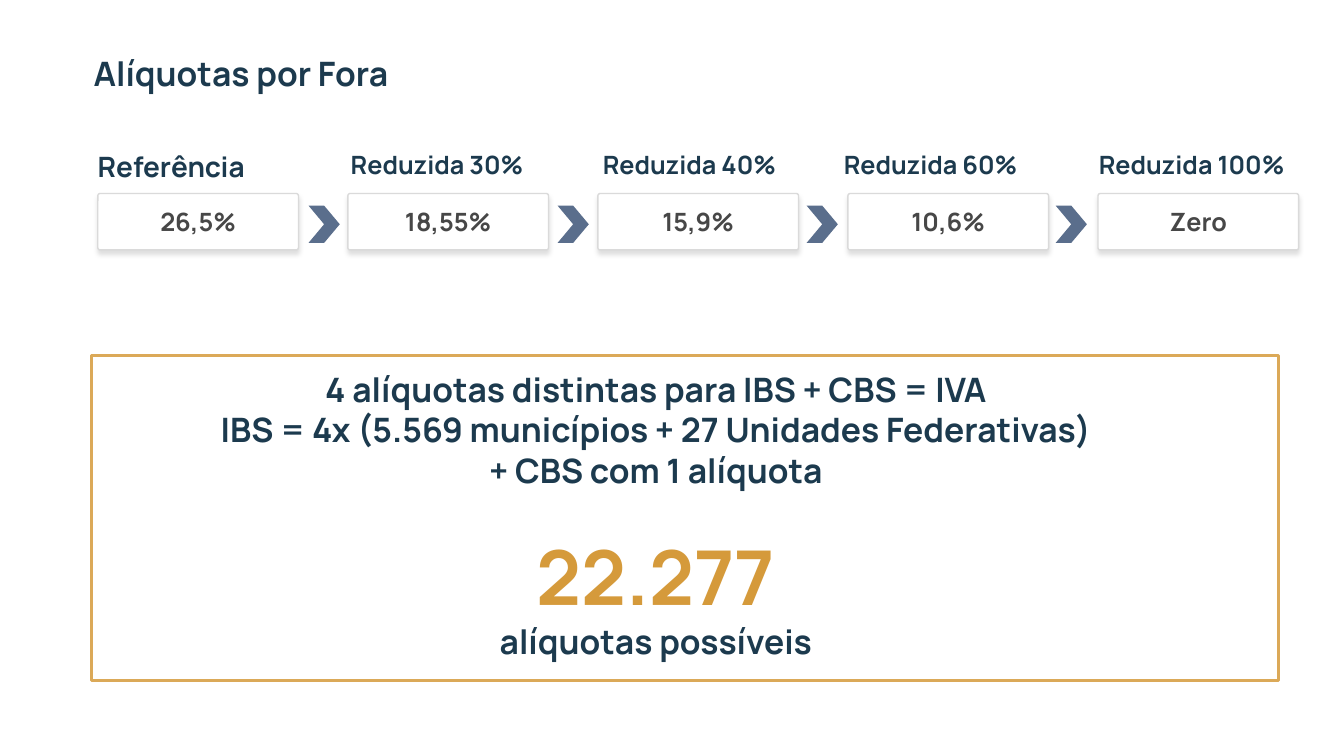
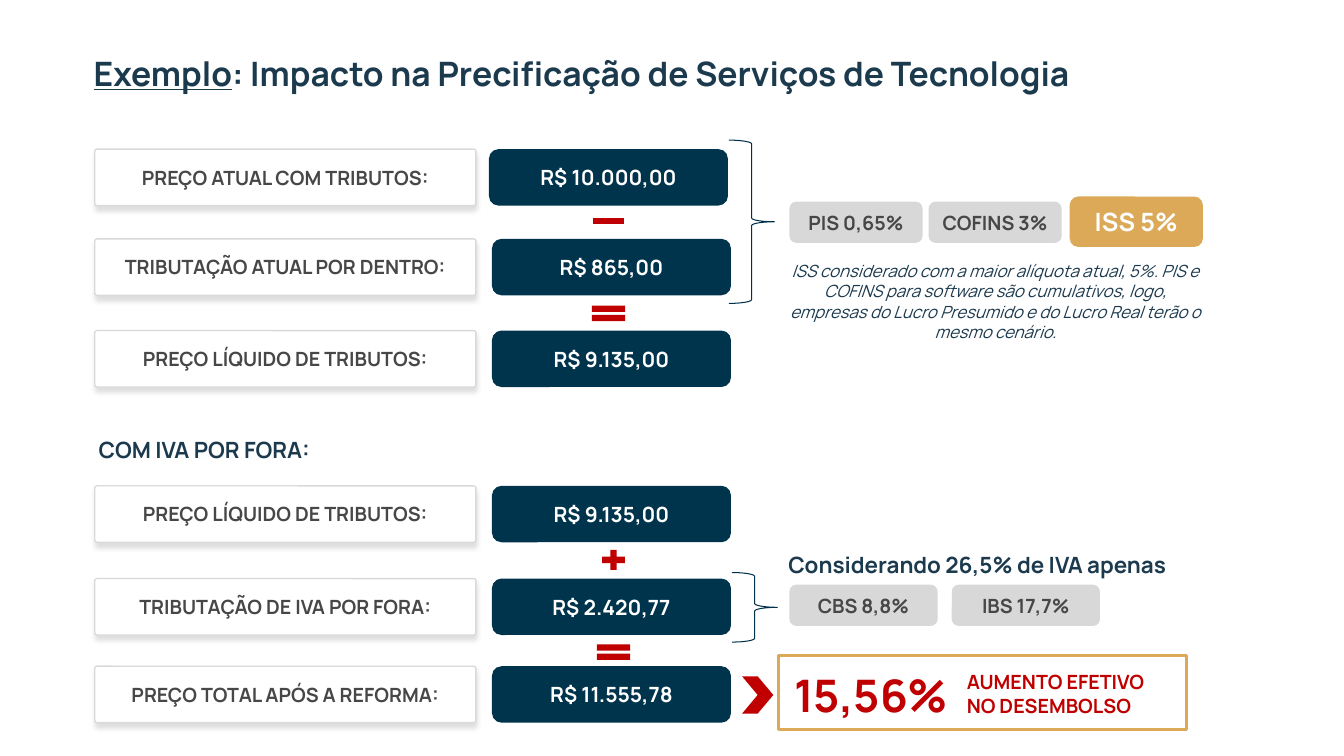
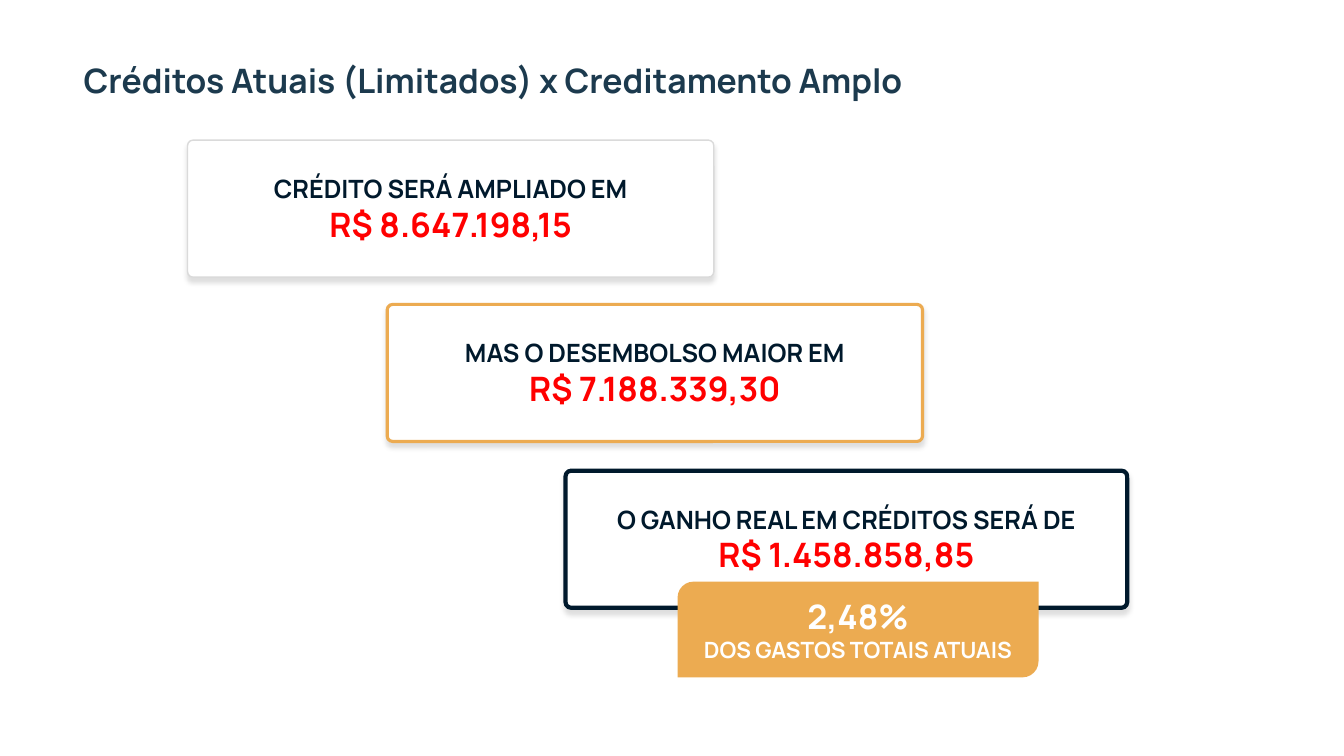
"""Build three slides on tax rates, service pricing and tax credits."""
from dataclasses import dataclass
from typing import NamedTuple

from lxml import etree
from pptx import Presentation
from pptx.dml.color import RGBColor
from pptx.enum.shapes import MSO_SHAPE
from pptx.enum.text import MSO_ANCHOR, MSO_AUTO_SIZE, PP_ALIGN
from pptx.oxml.ns import qn
from pptx.util import Inches, Pt

RECT = MSO_SHAPE.RECTANGLE
ROUNDED = MSO_SHAPE.ROUNDED_RECTANGLE
DIAGONAL = MSO_SHAPE.ROUND_2_DIAG_RECTANGLE
CHEVRON = MSO_SHAPE.CHEVRON
BRACE = MSO_SHAPE.RIGHT_BRACE
MINUS = MSO_SHAPE.MATH_MINUS
PLUS = MSO_SHAPE.MATH_PLUS
EQUAL = MSO_SHAPE.MATH_EQUAL
MIDDLE, TOP = MSO_ANCHOR.MIDDLE, MSO_ANCHOR.TOP
CENTER, LEFT = PP_ALIGN.CENTER, PP_ALIGN.LEFT
GROW = MSO_AUTO_SIZE.SHAPE_TO_FIT_TEXT

FONT = "Manrope"
INK = "1C3A4E"
NAVY = "00334C"
BRACE_NAVY = "00314B"
MIDNIGHT = "00192C"
GRAPHITE = "474747"
SILVER = "D8D8D8"
HAIRLINE = "DADADA"
STEEL = "5A6E8C"
WHITE = "FFFFFF"
GOLD = "DBA958"
DEEP_GOLD = "D59A3B"
AMBER = "ECAB51"
CRIMSON = "C00000"
RED = "FF0000"


class Box(NamedTuple):
    left: float
    top: float
    width: float
    height: float


@dataclass(frozen=True)
class Run:
    text: str
    size: float
    color: str = INK
    bold: bool = True
    italic: bool = False
    underline: bool = False
    break_after: bool = False


@dataclass(frozen=True)
class Paragraph:
    runs: tuple[Run, ...]
    space_before: float = 0


@dataclass(frozen=True)
class Style:
    fill: str | None = None
    line: str | None = None
    line_width: float = 1
    shadow: int = 0
    inset_x: float = 0.1
    inset_y: float = 0.05


@dataclass(frozen=True)
class PriceRow:
    top: float
    label: str
    value: str
    value_left: float = 4.88


@dataclass(frozen=True)
class Step:
    box: Box
    caption: str
    amount: str
    border: str
    border_width: float


def card_style(border: str = HAIRLINE, width: float = 1, shadow: int = 12) -> Style:
    return Style(WHITE, border, width, shadow, 0.13, 0.07)


CARD = card_style()
CARD_RADIUS = 0.04
GOLD_FRAME = Style(line=GOLD, line_width=2)


def rgb(color: str) -> RGBColor:
    return RGBColor.from_string(color)


def one_line(*runs: Run) -> list[Paragraph]:
    return [Paragraph(runs)]


def write(frame, paragraphs: list[Paragraph], align) -> None:
    frame.word_wrap = True
    for index, content in enumerate(paragraphs):
        paragraph = frame.paragraphs[0] if index == 0 else frame.add_paragraph()
        paragraph.alignment = align
        if content.space_before:
            paragraph.space_before = Pt(content.space_before)
        for part in content.runs:
            run = paragraph.add_run()
            run.text = part.text
            font = run.font
            font.name, font.size = FONT, Pt(part.size)
            font.bold, font.italic = part.bold, part.italic
            font.underline = part.underline
            font.color.rgb = rgb(part.color)
            if part.break_after:
                paragraph.add_line_break()


def set_insets(frame, x: float, y: float) -> None:
    frame.margin_left = frame.margin_right = Inches(x)
    frame.margin_top = frame.margin_bottom = Inches(y)


def add_shadow(shape, opacity: int) -> None:
    effects = shape.element.spPr.find(qn("a:effectLst"))
    shadow = etree.SubElement(
        effects, qn("a:outerShdw"), blurRad=str(Pt(3.6)), dist=str(Pt(3)),
        dir="5400000", algn="t", rotWithShape="0")
    black = etree.SubElement(shadow, qn("a:srgbClr"), val="000000")
    etree.SubElement(black, qn("a:alpha"), val=str(opacity * 1000))


def add_figure(slide, kind, box: Box, style: Style, paragraphs: list[Paragraph] | None = None,
               adjustments: tuple[float, ...] = ()) -> None:
    shape = slide.shapes.add_shape(kind, *map(Inches, box))
    for index, value in enumerate(adjustments):
        shape.adjustments[index] = value
    if style.fill:
        shape.fill.solid()
        shape.fill.fore_color.rgb = rgb(style.fill)
    else:
        shape.fill.background()
    if style.line:
        shape.line.color.rgb = rgb(style.line)
        shape.line.width = Pt(style.line_width)
    else:
        shape.line.fill.background()
    shape.shadow.inherit = False
    if style.shadow:
        add_shadow(shape, style.shadow)
    if paragraphs:
        frame = shape.text_frame
        set_insets(frame, style.inset_x, style.inset_y)
        frame.vertical_anchor = MIDDLE
        write(frame, paragraphs, CENTER)


def add_text(slide, box: Box, paragraphs: list[Paragraph], align=LEFT) -> None:
    frame = slide.shapes.add_textbox(*map(Inches, box)).text_frame
    set_insets(frame, 0.1, 0.05)
    frame.vertical_anchor = TOP
    frame.auto_size = GROW
    write(frame, paragraphs, align)


def add_card(slide, box: Box, paragraphs: list[Paragraph], style: Style = CARD) -> None:
    add_figure(slide, ROUNDED, box, style, paragraphs, (CARD_RADIUS,))


def add_pill(slide, box: Box, fill: str, label: Run) -> None:
    add_figure(slide, ROUNDED, box, Style(fill), one_line(label))


def add_chevron(slide, left: float, top: float, color: str) -> None:
    add_figure(slide, CHEVRON, Box(left, top, 0.31, 0.37), Style(color))


def add_titled_slide(deck, *title: Run, left: float = 0.83, top: float = 0.48):
    slide = deck.slides.add_slide(deck.slide_layouts[6])
    add_text(slide, Box(left, top, 11.52, 0.5), one_line(*title))
    return slide


def build_rates(deck) -> None:
    slide = add_titled_slide(deck, Run("Alíquotas por Fora", 24))
    rates = [
        (0.87, "Referência", 20, "26,5%"),
        (3.38, "Reduzida 30%", 18, "18,55%"),
        (5.88, "Reduzida 40%", 18, "15,9%"),
        (8.27, "Reduzida 60%", 18, "10,6%"),
        (10.8, "Reduzida 100%", 18, "Zero"),
    ]
    for index, (label_left, label, size, rate) in enumerate(rates):
        add_text(slide, Box(label_left, 1.43, 2.35, 0.4), one_line(Run(label, size)))
        add_card(slide, Box(0.97 + 2.48 * index, 1.92, 1.99, 0.56),
                 one_line(Run(rate, 18, GRAPHITE)))
        if index:
            add_chevron(slide, 0.59 + 2.47 * index, 2.04, STEEL)

    explanation = [
        "4 alíquotas distintas para IBS + CBS = IVA",
        "IBS = 4x (5.569 municípios + 27 Unidades Federativas)",
        "+ CBS com 1 alíquota",
    ]
    total = Paragraph((Run("22.277", 54, DEEP_GOLD, break_after=True),
                       Run("alíquotas possíveis", 24)), space_before=29)
    add_text(slide, Box(1.57, 3.61, 9.87, 3.03),
             [Paragraph((Run(text, 24),)) for text in explanation] + [total], CENTER)
    add_figure(slide, RECT, Box(0.91, 3.53, 11.77, 3.22), GOLD_FRAME)


def build_pricing(deck) -> None:
    slide = add_titled_slide(
        deck, Run("Exemplo", 24, underline=True),
        Run(": Impacto na Precificação de Serviços de Tecnologia", 24))
    rows = [
        PriceRow(1.48, "PREÇO ATUAL COM TRIBUTOS:", "R$ 10.000,00", 4.85),
        PriceRow(2.37, "TRIBUTAÇÃO ATUAL POR DENTRO:", "R$ 865,00"),
        PriceRow(3.28, "PREÇO LÍQUIDO DE TRIBUTOS:", "R$ 9.135,00"),
        PriceRow(4.82, "PREÇO LÍQUIDO DE TRIBUTOS:", "R$ 9.135,00"),
        PriceRow(5.74, "TRIBUTAÇÃO DE IVA POR FORA:", "R$ 2.420,77"),
        PriceRow(6.61, "PREÇO TOTAL APÓS A REFORMA:", "R$ 11.555,78"),
    ]
    for row in rows:
        add_card(slide, Box(0.94, row.top, 3.78, 0.56), one_line(Run(row.label, 14, GRAPHITE)))
        add_pill(slide, Box(row.value_left, row.top, 2.37, 0.56), NAVY,
                 Run(row.value, 15, WHITE))

    operators = [
        (MINUS, Box(5.83, 2.08, 0.41, 0.23)),
        (EQUAL, Box(5.81, 2.98, 0.45, 0.26)),
        (PLUS, Box(5.93, 5.42, 0.31, 0.27)),
        (EQUAL, Box(5.86, 6.34, 0.45, 0.26)),
    ]
    for operator, box in operators:
        add_figure(slide, operator, box, Style(CRIMSON))

    for box in (Box(7.23, 1.39, 0.45, 1.62), Box(7.26, 5.68, 0.45, 0.69)):
        add_figure(slide, BRACE, box, Style(line=BRACE_NAVY, line_width=0.75))

    taxes = [
        (Box(7.83, 2, 1.32, 0.41), "PIS 0,65%"),
        (Box(9.21, 2, 1.32, 0.41), "COFINS 3%"),
        (Box(7.83, 5.8, 1.47, 0.41), "CBS 8,8%"),
        (Box(9.44, 5.8, 1.47, 0.41), "IBS 17,7%"),
    ]
    for box, tax in taxes:
        add_pill(slide, box, SILVER, Run(tax, 14, GRAPHITE))
    add_pill(slide, Box(10.61, 1.95, 1.32, 0.5), GOLD, Run("ISS 5%", 18, WHITE))

    notes = [
        (Box(0.88, 4.28, 3.66, 0.37), Run("COM IVA POR FORA:", 16)),
        (Box(7.72, 5.42, 4.4, 0.37), Run("Considerando 26,5% de IVA apenas", 16)),
        (Box(7.78, 6.58, 2.08, 0.64), Run("15,56%", 32, CRIMSON)),
        (Box(9.49, 6.6, 2.08, 0.57), Run("AUMENTO EFETIVO NO DESEMBOLSO", 14, CRIMSON)),
    ]
    for box, note in notes:
        add_text(slide, box, one_line(note))
    assumption = Run(
        "ISS considerado com a maior alíquota atual, 5%. PIS e COFINS para software "
        "são cumulativos, logo, empresas do Lucro Presumido e do Lucro Real terão o "
        "mesmo cenário.", 12, bold=False, italic=True)
    add_text(slide, Box(7.73, 2.54, 4.29, 0.91), one_line(assumption), CENTER)

    add_chevron(slide, 7.36, 6.71, CRIMSON)
    add_figure(slide, RECT, Box(7.72, 6.5, 4.05, 0.74), GOLD_FRAME)


def build_credits(deck) -> None:
    slide = add_titled_slide(
        deck, Run("Créditos Atuais (Limitados) x Creditamento Amplo", 24),
        left=0.73, top=0.55)
    steps = [
        Step(Box(1.86, 1.39, 5.22, 1.36), "CRÉDITO SERÁ AMPLIADO EM",
             "R$ 8.647.198,15", HAIRLINE, 1),
        Step(Box(3.84, 3.02, 5.31, 1.36), "MAS O DESEMBOLSO MAIOR EM",
             "R$ 7.188.339,30", AMBER, 2.25),
        Step(Box(5.61, 4.67, 5.57, 1.36), "O GANHO REAL EM CRÉDITOS SERÁ DE",
             "R$ 1.458.858,85", MIDNIGHT, 3),
    ]
    for step in steps:
        add_card(slide, step.box,
                 one_line(Run(step.caption, 18, MIDNIGHT, break_after=True),
                          Run(step.amount, 24, RED)),
                 card_style(step.border, step.border_width, 13))
    add_figure(slide, DIAGONAL, Box(6.72, 5.77, 3.58, 0.95), Style(AMBER),
               one_line(Run("2,48%", 24, WHITE, break_after=True),
                        Run("DOS GASTOS TOTAIS ATUAIS", 16, WHITE)))


def main() -> None:
    deck = Presentation()
    deck.slide_width, deck.slide_height = Inches(13.33), Inches(7.5)
    build_rates(deck)
    build_pricing(deck)
    build_credits(deck)
    deck.save("out.pptx")


if __name__ == "__main__":
    main()
